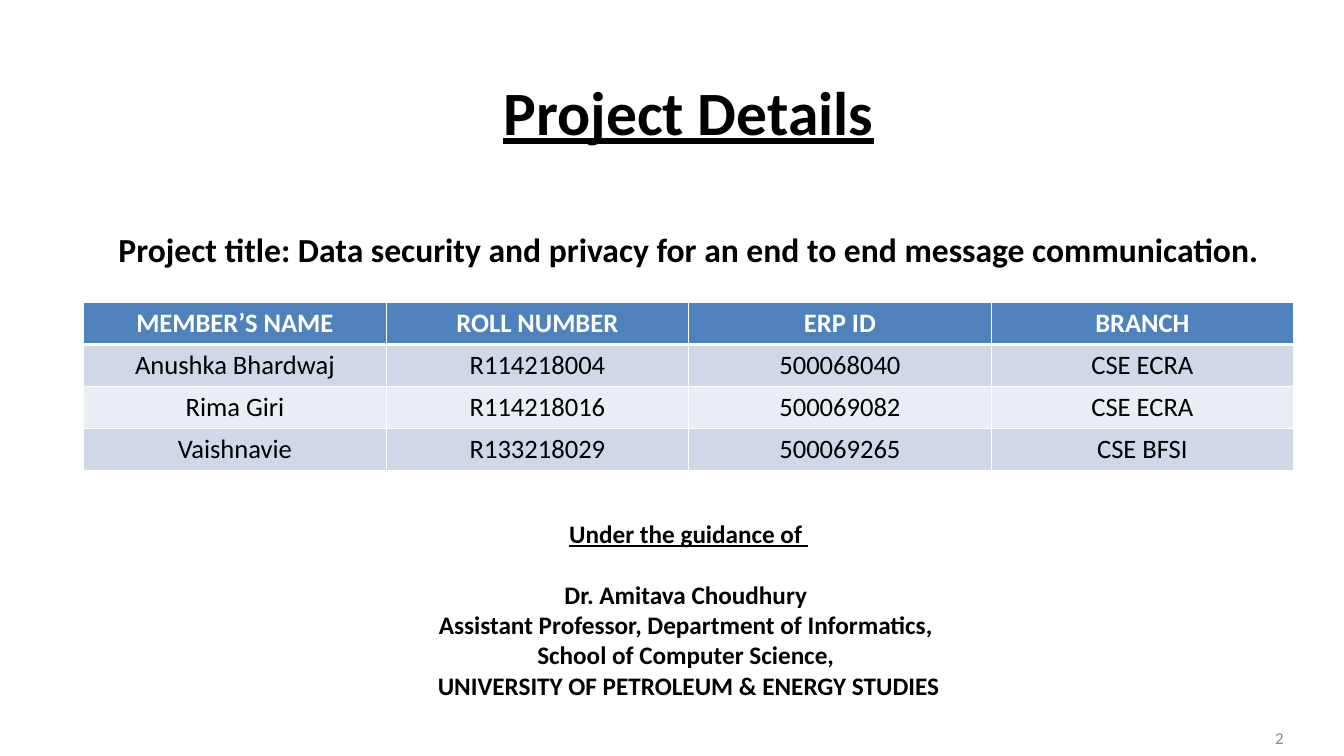
from dataclasses import dataclass

from lxml import etree
from pptx import Presentation
from pptx.dml.color import RGBColor
from pptx.enum.text import MSO_ANCHOR, PP_ALIGN
from pptx.oxml.ns import qn
from pptx.util import Inches, Pt

CENTER, RIGHT = PP_ALIGN.CENTER, PP_ALIGN.RIGHT
TOP, MIDDLE = MSO_ANCHOR.TOP, MSO_ANCHOR.MIDDLE


@dataclass(frozen=True)
class Theme:
    font: str = "Calibri"
    text: str = "000000"
    white: str = "FFFFFF"
    muted: str = "8C8C8C"
    header: str = "4F81BD"
    bands: tuple = ("D0D8E8", "E9EDF4")
    title_size: int = 44
    topic_size: int = 24
    table_size: int = 19
    guide_size: int = 18
    number_size: int = 12


THEME = Theme()

MEMBERS = [
    ["MEMBER’S NAME", "ROLL NUMBER", "ERP ID", "BRANCH"],
    ["Anushka Bhardwaj", "R114218004", "500068040", "CSE ECRA"],
    ["Rima Giri", "R114218016", "500069082", "CSE ECRA"],
    ["Vaishnavie", "R133218029", "500069265", "CSE BFSI"],
]
GUIDE = [
    "Dr. Amitava Choudhury ",
    "Assistant Professor, Department of Informatics, ",
    "School of Computer Science, ",
    "UNIVERSITY OF PETROLEUM & ENERGY STUDIES",
]


def add_run(p, text, size, color=THEME.text, bold=True, underline=False, align=CENTER):
    p.alignment = align
    r = p.add_run()
    r.text = text
    r.font.name = THEME.font
    r.font.size = Pt(size)
    r.font.bold = bold
    r.font.underline = underline
    r.font.color.rgb = RGBColor.from_string(color)


def add_text_frame(s, box, anchor=TOP):
    tf = s.shapes.add_textbox(*map(Inches, box)).text_frame
    tf.word_wrap = True
    tf.vertical_anchor = anchor
    return tf


def add_title(s, box):
    tf = add_text_frame(s, box, MIDDLE)
    add_run(tf.paragraphs[0], "Project Details", THEME.title_size, underline=True)


def add_topic(s, box):
    tf = add_text_frame(s, box)
    topic = "Project title: Data security and privacy for an end to end message communication."
    add_run(tf.paragraphs[0], topic, THEME.topic_size)


def set_borders(cell, bottom):
    tc_pr = cell._tc.get_or_add_tcPr()
    widths = {"a:lnL": 1, "a:lnR": 1, "a:lnT": 1, "a:lnB": bottom}
    # Borders come before the fill in the cell properties
    for i, (tag, width) in enumerate(widths.items()):
        ln = etree.Element(qn(tag), w=str(Pt(width)))
        fill = etree.SubElement(ln, qn("a:solidFill"))
        etree.SubElement(fill, qn("a:srgbClr"), val=THEME.white)
        tc_pr.insert(i, ln)


def add_members(s, box):
    rows, cols = len(MEMBERS), len(MEMBERS[0])
    table = s.shapes.add_table(rows, cols, *map(Inches, box)).table
    for i, member in enumerate(MEMBERS):
        head = i == 0
        fill = THEME.header if head else THEME.bands[(i - 1) % 2]
        for j, text in enumerate(member):
            cell = table.cell(i, j)
            cell.fill.solid()
            cell.fill.fore_color.rgb = RGBColor.from_string(fill)
            set_borders(cell, bottom=3 if head else 1)
            add_run(cell.text_frame.paragraphs[0], text, THEME.table_size,
                    THEME.white if head else THEME.text, bold=head)
            # The line below the header is shared with the first body row
            if i == 1:
                cell._tc.tcPr.find(qn("a:lnT")).set("w", str(Pt(3)))


def add_guide(s, box):
    tf = add_text_frame(s, box)
    add_run(tf.paragraphs[0], "Under the guidance of ", THEME.guide_size, underline=True)
    for i, line in enumerate(GUIDE):
        p = tf.add_paragraph()
        if i == 0:
            p.space_before = Pt(22)
        add_run(p, line, THEME.guide_size)


def add_number(s, box):
    tf = add_text_frame(s, box, MIDDLE)
    add_run(tf.paragraphs[0], "2", THEME.number_size, THEME.muted, bold=False, align=RIGHT)


def main():
    prs = Presentation()
    prs.slide_width, prs.slide_height = Inches(13.33), Inches(7.5)
    s = prs.slides.add_slide(prs.slide_layouts[6])

    # Heading and topic share the table's left edge and width
    left, width = 0.83, 12
    add_title(s, (left, 0.47, width, 1.25))
    add_topic(s, (left, 2.22, width, 0.5))
    add_members(s, (left, 3, width, 1.67))

    # Supervisor and slide number
    add_guide(s, (3.67, 5.09, 6.32, 1.92))
    add_number(s, (9.72, 7.12, 3.11, 0.4))
    prs.save("out.pptx")


if __name__ == "__main__":
    main()
